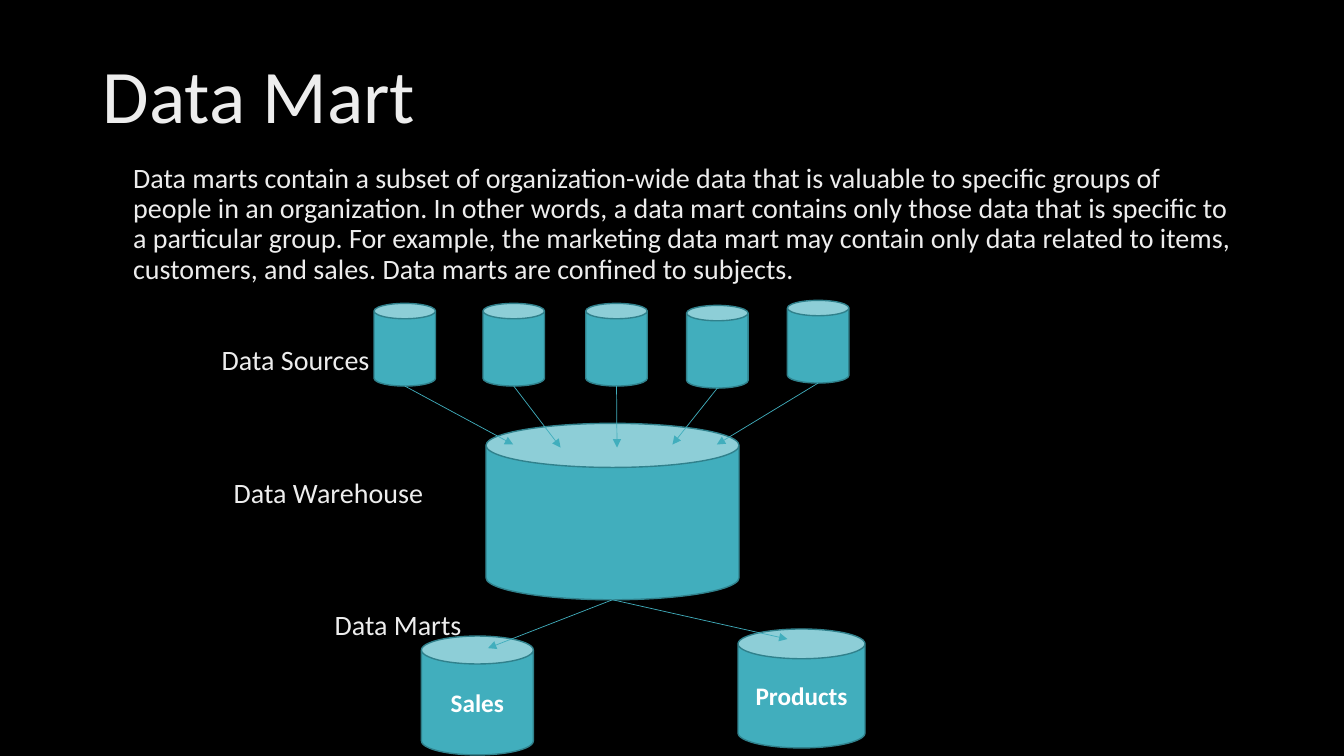
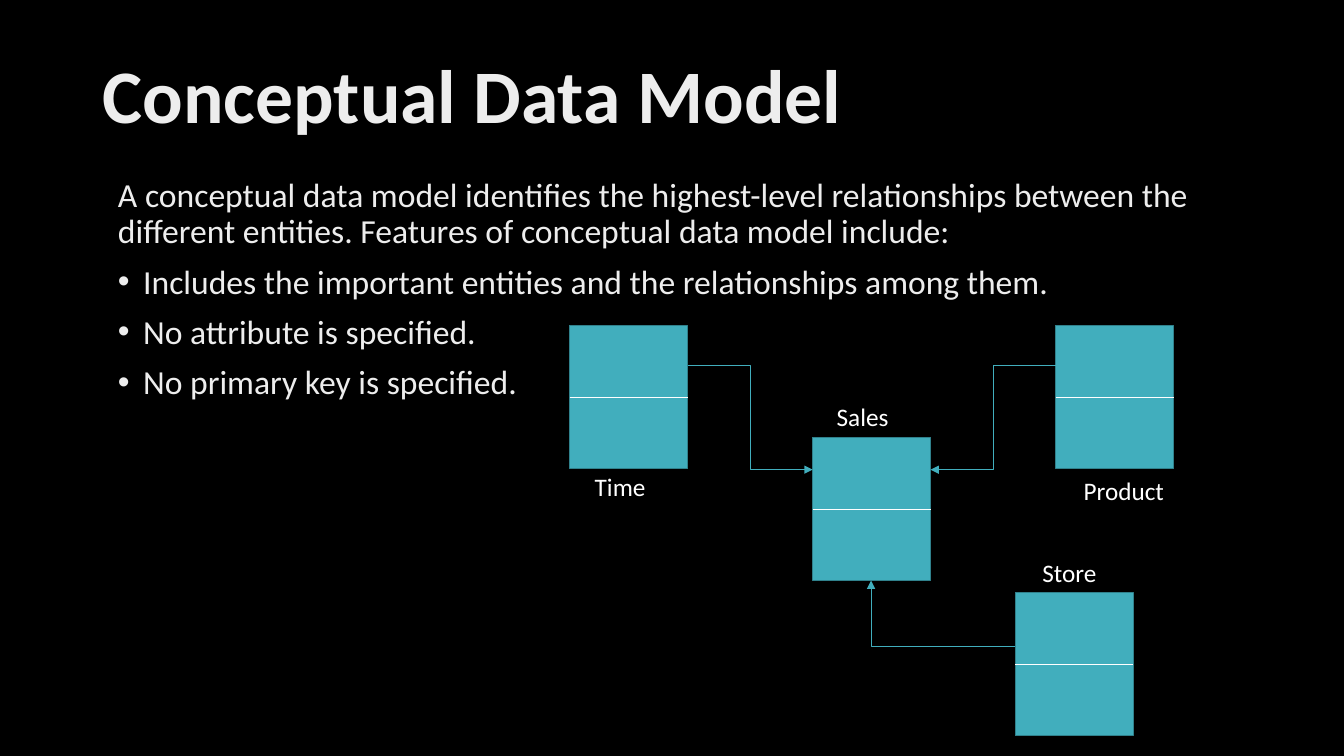
from typing import NamedTuple

import pptx
import pptx.dml.color
import pptx.enum.shapes
import pptx.enum.text
import pptx.oxml.ns
import pptx.oxml.xmlchemy
import pptx.presentation
import pptx.shapes.autoshape
import pptx.shapes.connector
import pptx.slide
import pptx.text.text
import pptx.util
from lxml import etree

Inches = pptx.util.Inches
Pt = pptx.util.Pt
qn = pptx.oxml.ns.qn
SHAPE = pptx.enum.shapes.MSO_SHAPE
CONNECTOR = pptx.enum.shapes.MSO_CONNECTOR
ALIGN = pptx.enum.text.PP_ALIGN
ANCHOR = pptx.enum.text.MSO_ANCHOR
AUTO_SIZE = pptx.enum.text.MSO_AUTO_SIZE

COLORS = {
    "background": "000000",
    "text": "EDEDED",
    "label": "FFFFFF",
    "fill": "41AEBD",
    "outline": "30818C",
}
FONT = "Calibri"
BULLET_INDENT = 0.25


class Frame(NamedTuple):
    left: float
    top: float
    width: float
    height: float


class Label(NamedTuple):
    text: str
    frame: Frame


class Can(NamedTuple):
    frame: Frame
    text: str = ""


class Arrow(NamedTuple):
    start: tuple[float, float]
    end: tuple[float, float]
    preset: str = "line"


class Entity(NamedTuple):
    left: float
    top: float
    label: Label


SOURCE_SIZE = (0.61, 0.82)
SOURCE_CORNERS = [(3.71, 3.01), (4.79, 3.01), (5.81, 3.01), (6.81, 3.03), (7.81, 2.98)]
SOURCE_TARGETS = [(5.09, 4.41), (5.56, 4.44), (6.12, 4.44), (6.67, 4.41), (7.11, 4.41)]
WAREHOUSE = Can(Frame(4.82, 4.2, 2.51, 1.75))
MARTS = [
    Can(Frame(4.18, 6.31, 1.11, 1.18), "Sales"),
    Can(Frame(7.32, 6.24, 1.26, 1.18), "Products"),
]
MART_TARGETS = [(4.84, 6.43), (7.81, 6.34)]
STAGE_LABELS = [
    Label("Data Sources", Frame(2.1, 3.35, 1.8, 0.4)),
    Label("Data Warehouse", Frame(2.22, 4.67, 2.2, 0.4)),
    Label("Data Marts", Frame(3.22, 5.98, 1.6, 0.4)),
]

ENTITY_SIZE = (1.17, 1.42)
ENTITIES = [
    Entity(5.65, 3.23, Label("Time", Frame(5.8, 4.63, 0.82, 0.4))),
    Entity(8.06, 4.34, Label("Sales", Frame(8.2, 3.93, 0.82, 0.4))),
    Entity(10.47, 3.23, Label("Product", Frame(10.65, 4.67, 1.17, 0.4))),
    Entity(10.07, 5.88, Label("Store", Frame(10.24, 5.48, 0.82, 0.4))),
]
RELATIONS = [
    Arrow((6.82, 3.63), (8.06, 4.66), "bentConnector3"),
    Arrow((10.47, 3.63), (9.23, 4.66), "bentConnector3"),
    Arrow((10.07, 6.41), (8.64, 5.76), "bentConnector2"),
]


def rgb(name: str) -> pptx.dml.color.RGBColor:
    return pptx.dml.color.RGBColor.from_string(COLORS[name])


def format_runs(para: pptx.text.text._Paragraph, size: float, color: str, bold: bool = False) -> None:
    for span in para.runs:
        span.font.name = FONT
        span.font.size = Pt(size)
        span.font.bold = bold
        span.font.color.rgb = rgb(color)


def set_bullet(para: pptx.text.text._Paragraph, bulleted: bool) -> None:
    properties = para._p.get_or_add_pPr()
    indent = Inches(BULLET_INDENT if bulleted else 0)
    properties.set("marL", str(indent))
    properties.set("indent", str(-indent))
    if bulleted:
        etree.SubElement(properties, qn("a:buFont")).set("typeface", "Arial")
        etree.SubElement(properties, qn("a:buChar")).set("char", "•")
    else:
        etree.SubElement(properties, qn("a:buNone"))


def place(shape: pptx.shapes.autoshape.Shape, frame: Frame) -> None:
    shape.left, shape.top, shape.width, shape.height = map(Inches, frame)


def add_page(deck: pptx.presentation.Presentation, title: str, bold: bool) -> pptx.slide.Slide:
    page = deck.slides.add_slide(deck.slide_layouts[1])
    box = page.shapes.title
    place(box, Frame(0.92, 0.4, 11.5, 1.17))
    box.text_frame.text = title
    box.text_frame.auto_size = AUTO_SIZE.NONE
    box.text_frame.vertical_anchor = ANCHOR.MIDDLE
    para = box.text_frame.paragraphs[0]
    para.alignment = ALIGN.LEFT
    para.line_spacing = 0.9
    format_runs(para, 54, "text", bold)
    return page


def fill_body(page: pptx.slide.Slide, frame: Frame, lines: list[str], size: float) -> None:
    """Write an introduction, followed by bullets, into the body placeholder."""
    box = page.placeholders[1]
    place(box, frame)
    box.text_frame.text = "\n".join(lines)
    box.text_frame.auto_size = AUTO_SIZE.NONE
    for index, para in enumerate(box.text_frame.paragraphs):
        para.line_spacing = 0.9
        para.space_before = Pt(10)
        set_bullet(para, bulleted=index > 0)
        format_runs(para, size, "text")


def add_label(page: pptx.slide.Slide, label: Label, size: float, color: str) -> None:
    box = page.shapes.add_textbox(*map(Inches, label.frame))
    box.text_frame.word_wrap = True
    box.text_frame.text = label.text
    format_runs(box.text_frame.paragraphs[0], size, color)


def add_solid(page: pptx.slide.Slide, kind: SHAPE, frame: Frame) -> pptx.shapes.autoshape.Shape:
    shape = page.shapes.add_shape(kind, *map(Inches, frame))
    shape.shadow.inherit = False
    shape.fill.solid()
    shape.fill.fore_color.rgb = rgb("fill")
    shape.line.color.rgb = rgb("outline")
    shape.line.width = Pt(1)
    return shape


def add_can(page: pptx.slide.Slide, can: Can) -> None:
    shape = add_solid(page, SHAPE.CAN, can.frame)
    if can.text:
        shape.text_frame.text = can.text
        shape.text_frame.vertical_anchor = ANCHOR.MIDDLE
        para = shape.text_frame.paragraphs[0]
        para.alignment = ALIGN.CENTER
        format_runs(para, 18, "label", bold=True)


def add_line(
    page: pptx.slide.Slide,
    start: tuple[float, float],
    end: tuple[float, float],
    color: str,
    kind: CONNECTOR = CONNECTOR.STRAIGHT,
) -> pptx.shapes.connector.Connector:
    line = page.shapes.add_connector(kind, *map(Inches, start + end))
    line.line.color.rgb = rgb(color)
    line.line.width = Pt(0.5)
    etree.SubElement(line._element.spPr, qn("a:effectLst"))
    return line


def add_arrow(page: pptx.slide.Slide, arrow: Arrow) -> None:
    kind = CONNECTOR.STRAIGHT if arrow.preset == "line" else CONNECTOR.ELBOW
    line = add_line(page, arrow.start, arrow.end, "fill", kind)
    properties = line._element.spPr
    properties.find(qn("a:prstGeom")).set("prst", arrow.preset)
    etree.SubElement(properties.find(qn("a:ln")), qn("a:tailEnd")).set("type", "triangle")


def bottom_center(frame: Frame) -> tuple[float, float]:
    return frame.left + frame.width / 2, frame.top + frame.height


def add_entity(page: pptx.slide.Slide, entity: Entity) -> None:
    width, height = ENTITY_SIZE
    add_solid(page, SHAPE.RECTANGLE, Frame(entity.left, entity.top, width, height))
    middle = entity.top + height / 2
    add_line(page, (entity.left, middle), (entity.left + width, middle), "label")
    add_label(page, entity.label, 18, "label")


def build_data_mart(deck: pptx.presentation.Presentation) -> None:
    page = add_page(deck, "Data Mart", bold=False)
    description = (
        "Data marts contain a subset of organization-wide data that is valuable to specific "
        "groups of people in an organization. In other words, a data mart contains only those "
        "data that is specific to a particular group. For example, the marketing data mart may "
        "contain only data related to items, customers, and sales. Data marts are confined to "
        "subjects."
    )
    fill_body(page, Frame(1.22, 1.58, 11.19, 1.35), [description], 20)
    for label in STAGE_LABELS:
        add_label(page, label, 20, "text")
    sources = [Can(Frame(*corner, *SOURCE_SIZE)) for corner in SOURCE_CORNERS]
    for can in [WAREHOUSE, *sources, *MARTS]:
        add_can(page, can)
    for source, target in zip(sources, SOURCE_TARGETS):
        add_arrow(page, Arrow(bottom_center(source.frame), target))
    for target in MART_TARGETS:
        add_arrow(page, Arrow(bottom_center(WAREHOUSE.frame), target))


def build_conceptual_model(deck: pptx.presentation.Presentation) -> None:
    page = add_page(deck, "Conceptual Data Model", bold=True)
    lines = [
        "A conceptual data model identifies the highest-level relationships between the "
        "different entities. Features of conceptual data model include:",
        "Includes the important entities and the relationships among them.",
        "No attribute is specified.",
        "No primary key is specified.",
    ]
    fill_body(page, Frame(1.07, 1.72, 11.19, 5.43), lines, 24)
    for entity in ENTITIES:
        add_entity(page, entity)
    for relation in RELATIONS:
        add_arrow(page, relation)


def main() -> None:
    deck = pptx.Presentation()
    deck.slide_width = Inches(13.33)
    deck.slide_height = Inches(7.5)
    background = deck.slide_master.background.fill
    background.solid()
    background.fore_color.rgb = rgb("background")
    build_data_mart(deck)
    build_conceptual_model(deck)
    deck.save("out.pptx")


if __name__ == "__main__":
    main()
